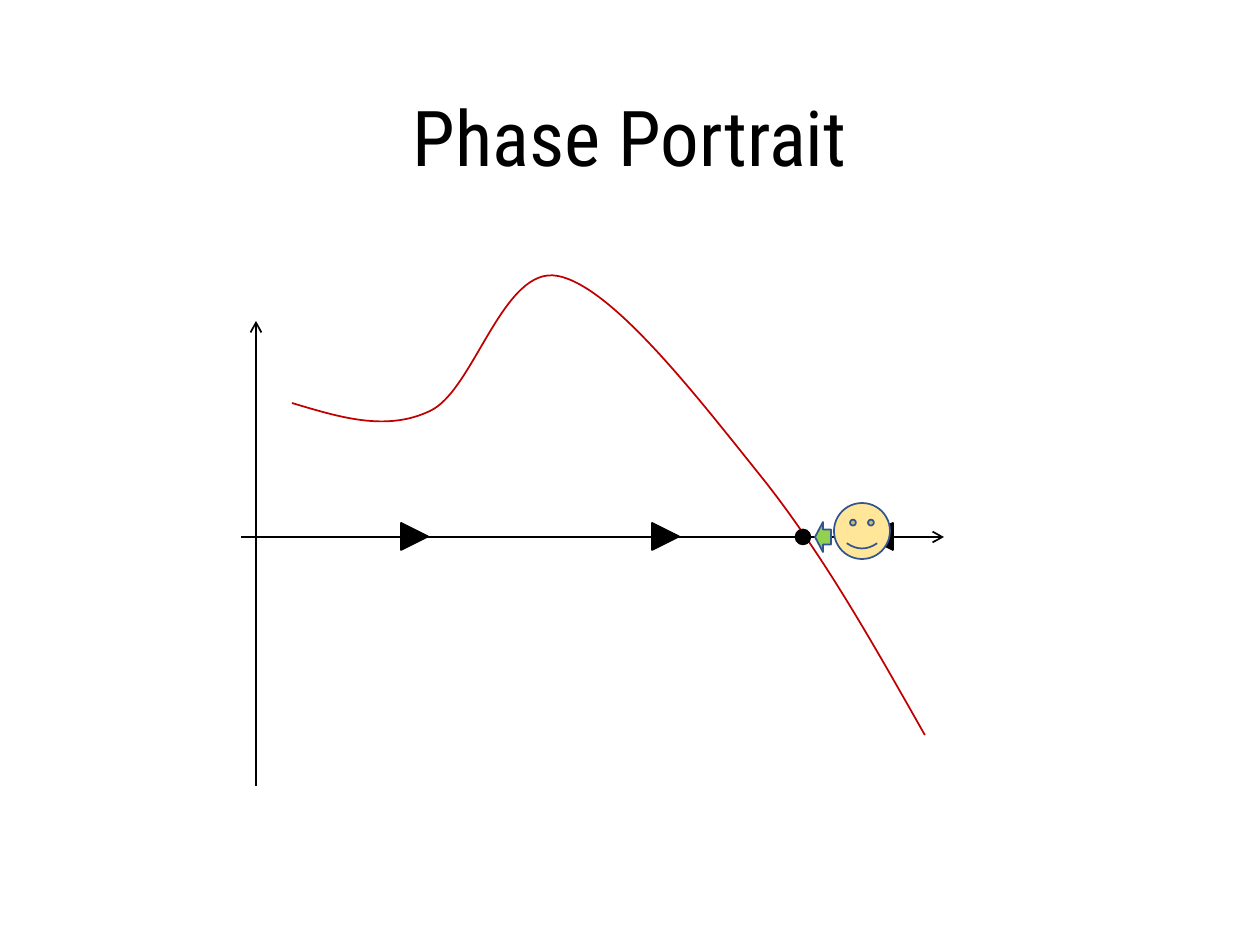
from pptx import Presentation
from pptx.dml.color import RGBColor
from pptx.enum.shapes import MSO_CONNECTOR, MSO_SHAPE
from pptx.enum.text import MSO_ANCHOR, PP_ALIGN
from pptx.oxml.ns import qn
from pptx.util import Pt
from lxml.etree import SubElement

SCALE = 914400 / 126  # EMU in one px
BLACK, RED, NAVY = "000000", "C00000", "325491"
YELLOW, GREEN = "FFE699", "92D050"


def px(n):
    return round(n * SCALE)


def color(code):
    return RGBColor.from_string(code)


class Board:
    font = "Roboto Condensed"

    def __init__(self, slide):
        self.shapes = slide.shapes

    def stroke(self, shape, code, width=1):
        shape.line.color.rgb = color(code)
        shape.line.width = Pt(width)

    def title(self, words, x, y, w, h):
        frame = self.shapes.add_textbox(px(x), px(y), px(w), px(h)).text_frame
        frame.word_wrap = True
        frame.vertical_anchor = MSO_ANCHOR.MIDDLE
        para = frame.paragraphs[0]
        para.alignment = PP_ALIGN.CENTER
        para.line_spacing = 0.9
        run = para.add_run()
        run.text = words
        run.font.name = self.font
        run.font.size = Pt(44)
        run.font.color.rgb = color(BLACK)

    def axis(self, x1, y1, x2, y2):
        line = self.shapes.add_connector(
            MSO_CONNECTOR.STRAIGHT, px(x1), px(y1), px(x2), px(y2))
        self.stroke(line, BLACK)
        SubElement(line.line._get_or_add_ln(), qn("a:tailEnd"), type="arrow")
        SubElement(line._element.spPr, qn("a:effectLst"))

    def curve(self, points, code):
        """Draw a start point followed by cubic triples of points."""
        build = self.shapes.build_freeform(*points[0], scale=SCALE)
        build.add_line_segments(points[1:], close=False)
        shape = build.convert_to_shape()
        shape.shadow.inherit = False
        shape.fill.background()
        self.stroke(shape, code)
        route = next(shape._element.iter(qn("a:path")))
        steps = route.findall(qn("a:lnTo"))
        for i in range(0, len(steps), 3):
            cubic = SubElement(route, qn("a:cubicBezTo"))
            for step in steps[i:i + 3]:
                cubic.append(step[0])
                route.remove(step)

    def shape(self, kind, x, y, w, h, fill, line=BLACK, width=1, turn=0):
        shape = self.shapes.add_shape(kind, px(x), px(y), px(w), px(h))
        shape.shadow.inherit = False
        shape.fill.solid()
        shape.fill.fore_color.rgb = color(fill)
        self.stroke(shape, line, width)
        shape.rotation = turn


def main():
    deck = Presentation()
    deck.slide_width, deck.slide_height = px(1260), px(945)
    board = Board(deck.slides.add_slide(deck.slide_layouts[6]))

    board.axis(256, 786, 256, 321)
    board.axis(241, 537, 944, 537)
    board.curve([
        (925, 735),
        (874, 645), (824, 556), (764, 480),
        (702, 403), (614, 287), (558, 276),
        (503, 265), (474, 391), (430, 411),
        (386, 432), (339, 417), (292, 403),
    ], RED)
    board.shape(MSO_SHAPE.OVAL, 796, 530, 14, 14, BLACK, width=1.5)
    board.title("Phase Portrait", 87, 50, 1086, 183)

    for x, turn in ((401, 90), (652, 90), (866, 270)):
        board.shape(MSO_SHAPE.ISOSCELES_TRIANGLE, x, 523, 27, 27, BLACK, turn=turn)

    board.shape(MSO_SHAPE.SMILEY_FACE, 834, 503, 56, 56, YELLOW, NAVY)
    board.shape(MSO_SHAPE.LEFT_ARROW, 815, 522, 16, 30, GREEN, NAVY)
    deck.save("out.pptx")


if __name__ == "__main__":
    main()
